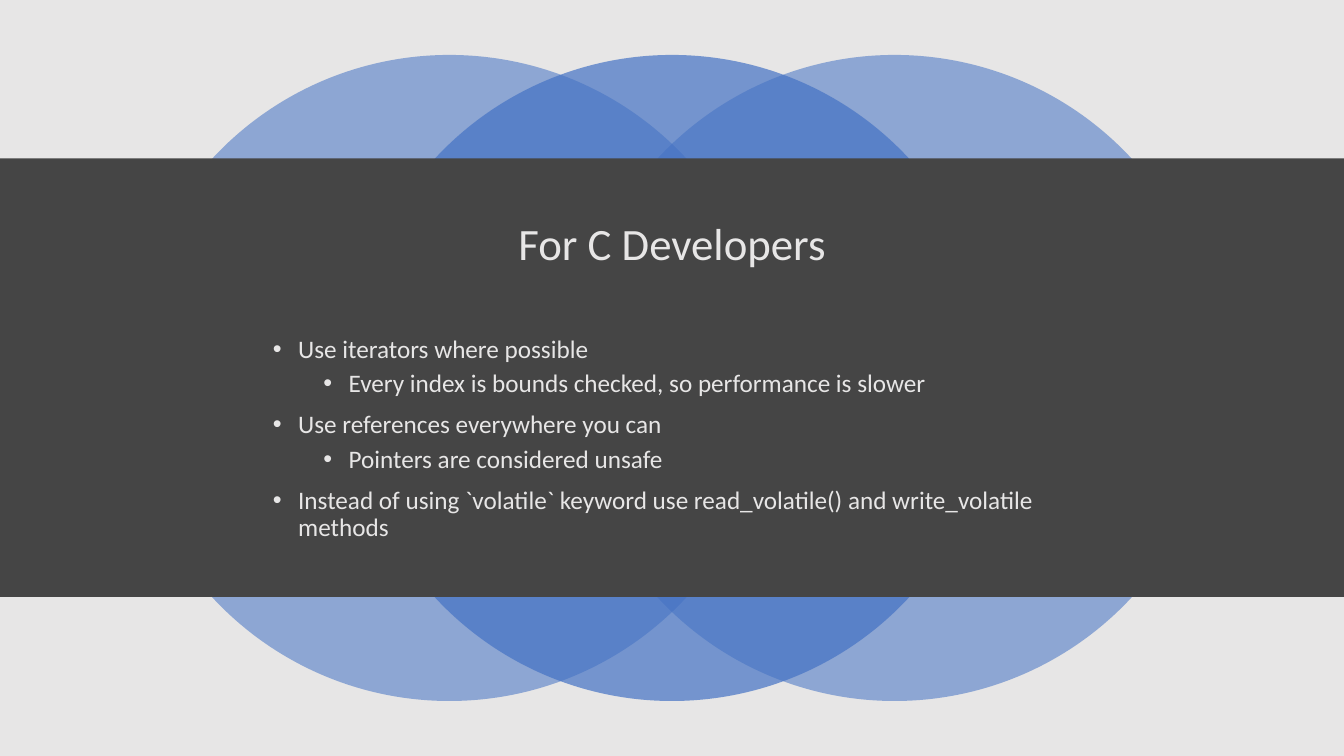
from lxml import etree
from pptx import Presentation
from pptx.dml.color import RGBColor
from pptx.enum.shapes import MSO_SHAPE
from pptx.enum.text import MSO_ANCHOR, PP_ALIGN
from pptx.oxml.ns import qn
from pptx.util import Cm, Pt

RECTANGLE, OVAL = MSO_SHAPE.RECTANGLE, MSO_SHAPE.OVAL
MIDDLE, TOP = MSO_ANCHOR.MIDDLE, MSO_ANCHOR.TOP
CENTER, LEFT = PP_ALIGN.CENTER, PP_ALIGN.LEFT

TITLE = "For C Developers"
ADVICE = [
    (0, "Use iterators where possible"),
    (1, "Every index is bounds checked, so performance is slower"),
    (0, "Use references everywhere you can"),
    (1, "Pointers are considered unsafe"),
    (0, "Instead of using `volatile` keyword use read_volatile() and write_volatile methods"),
]
FONT = "Calibri"
LIGHT, DARK, BLUE = "E7E6E6", "454545", "4472C4"
WIDTH, HEIGHT = 33.87, 19.05
DIAMETER, CIRCLE_STEP = 16.28, 5.61
CIRCLES = [(-1, 55), (1, 55), (0, 70)]
BAND_TOP, BAND_HEIGHT = 3.99, 11.05
TITLE_BOX = (2.34, 4.9, 29.2, 2.59)
ADVICE_BOX = (6.63, 8.36, 20.62, 5.87)
INDENT, LEVEL_STEP = 0.635, 1.27


def color(code):
    """Turn a hex string into a colour."""
    return RGBColor.from_string(code)


def add_block(slide, kind, place, fill, opacity=100):
    """Draw a borderless filled shape."""
    shape = slide.shapes.add_shape(kind, *map(Cm, place))
    shape.shadow.inherit = False
    shape.fill.solid()
    shape.fill.fore_color.rgb = color(fill)
    shape.line.fill.background()
    if opacity < 100:
        tint = shape.fill._xPr.find(".//" + qn("a:srgbClr"))
        etree.SubElement(tint, qn("a:alpha"), val=str(opacity * 1000))


def add_text(slide, place, lines, size, align, anchor):
    """Add a wrapping text box and return its paragraphs."""
    box = slide.shapes.add_textbox(*map(Cm, place))
    frame = box.text_frame
    frame.word_wrap = True
    frame.vertical_anchor = anchor
    frame.text = "\n".join(lines)
    for para in frame.paragraphs:
        para.alignment = align
        para.line_spacing = 0.9
        for span in para.runs:
            span.font.name = FONT
            span.font.size = Pt(size)
            span.font.color.rgb = color(LIGHT)
    return frame.paragraphs


def add_bullet(para, level):
    """Give a paragraph its level, indent, spacing and bullet."""
    para.level = level
    para.space_before = Pt(5 if level else 10)
    settings = para._p.get_or_add_pPr()
    settings.set("marL", str(Cm(INDENT + level * LEVEL_STEP)))
    settings.set("indent", str(-Cm(INDENT)))
    etree.SubElement(settings, qn("a:buFont"), typeface="Arial")
    etree.SubElement(settings, qn("a:buChar"), char="•")


def main():
    """Build the slide and save it."""
    deck = Presentation()
    deck.slide_width, deck.slide_height = Cm(WIDTH), Cm(HEIGHT)
    slide = deck.slides.add_slide(deck.slide_layouts[6])
    slide.background.fill.solid()
    slide.background.fill.fore_color.rgb = color(DARK)

    add_block(slide, RECTANGLE, (0, 0, WIDTH, HEIGHT), LIGHT)
    for offset, opacity in CIRCLES:
        left = (WIDTH - DIAMETER) / 2 + offset * CIRCLE_STEP
        top = (HEIGHT - DIAMETER) / 2
        add_block(slide, OVAL, (left, top, DIAMETER, DIAMETER), BLUE, opacity)
    add_block(slide, RECTANGLE, (0, BAND_TOP, WIDTH, BAND_HEIGHT), DARK)

    add_text(slide, TITLE_BOX, [TITLE], 32, CENTER, MIDDLE)
    lines = [text for _, text in ADVICE]
    paras = add_text(slide, ADVICE_BOX, lines, 18, LEFT, TOP)
    for para, (level, _) in zip(paras, ADVICE):
        add_bullet(para, level)
    deck.save("out.pptx")


if __name__ == "__main__":
    main()
